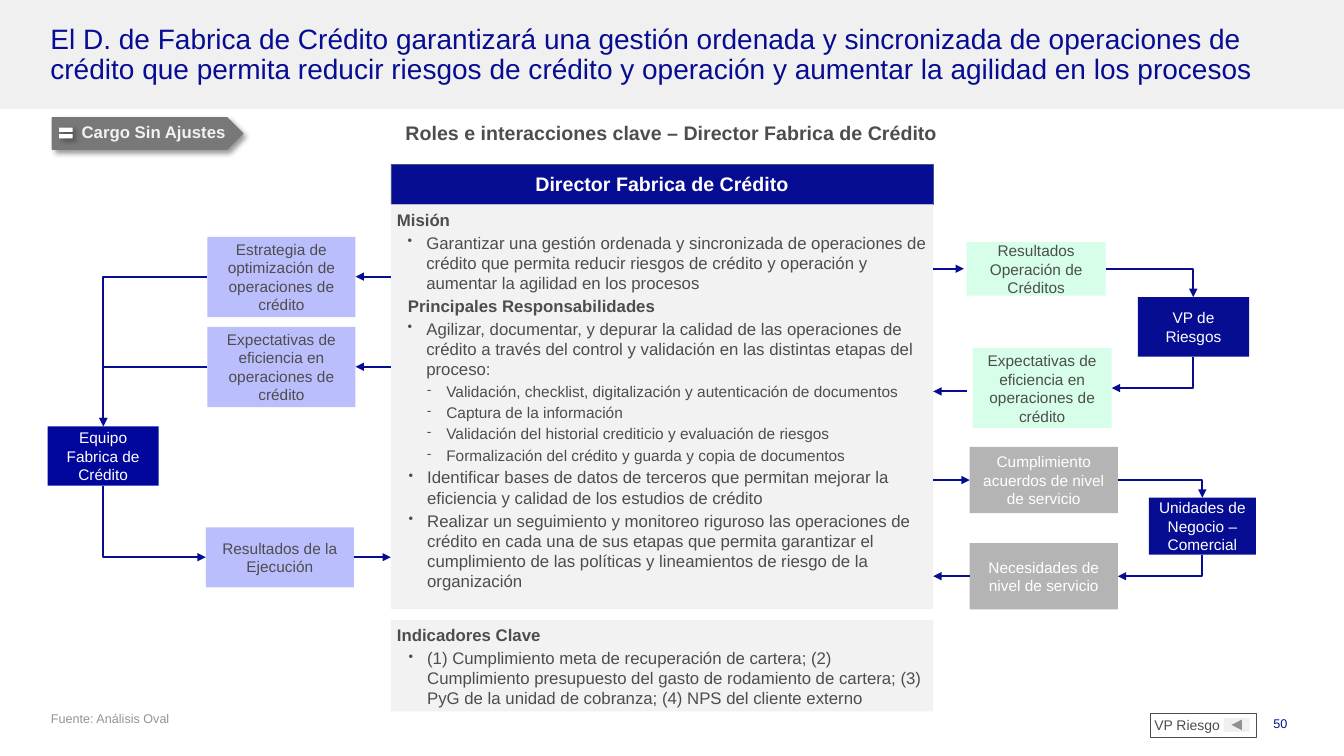
from dataclasses import dataclass

import lxml.etree
import pptx
import pptx.dml.color
import pptx.enum.shapes
import pptx.enum.text
import pptx.oxml.ns
import pptx.util

Pt = pptx.util.Pt
Kind = pptx.enum.shapes.MSO_SHAPE
Align = pptx.enum.text.PP_ALIGN
Anchor = pptx.enum.text.MSO_ANCHOR
qn = pptx.oxml.ns.qn

COLORS = {
    "navy": "070D93", "deep": "00079A", "edge": "42508E", "text": "4D4D4D",
    "white": "FFFFFF", "band": "F0F0F0", "panel": "F2F2F2", "lilac": "BBBEFC",
    "mint": "D6FEE9", "gray": "B4B4B4", "tag": "787878", "source": "949494",
    "black": "000000",
}
NARROW = (4.3, 3.6, 4.3, 3.6)
WIDE = (7.2, 3.6, 7.2, 3.6)
SMALL = (2.9, 3.6, 2.9, 3.6)


@dataclass
class Line:
    text: str
    size: float = 12
    color: str = "text"
    bold: bool = False
    align: Align = Align.LEFT
    margin: float = 0
    indent: float = 0
    bullet: str = ""
    after: float = 0
    spacing: float = 1


@dataclass
class Block:
    left: float
    top: float
    width: float
    height: float
    fill: str = ""
    lines: tuple = ()
    insets: tuple = WIDE
    anchor: Anchor = Anchor.TOP
    edge: str = ""
    edge_width: float = 0.75
    kind: Kind = Kind.RECTANGLE
    shadow: bool = False
    rotation: float = 0


@dataclass
class Arrow:
    start: tuple
    end: tuple
    down_first: bool = False


def rgb(name: str) -> pptx.dml.color.RGBColor:
    return pptx.dml.color.RGBColor.from_string(COLORS[name])


def write(box, lines: tuple, insets: tuple, anchor: Anchor) -> None:
    frame = box.text_frame
    frame.word_wrap = True
    frame.vertical_anchor = anchor
    frame.margin_left, frame.margin_top, frame.margin_right, frame.margin_bottom = map(Pt, insets)
    for index, line in enumerate(lines):
        para = frame.add_paragraph() if index else frame.paragraphs[0]
        props = para._p.get_or_add_pPr()
        props.set("marL", str(Pt(line.margin)))
        props.set("indent", str(Pt(line.indent)))
        if line.bullet:
            tint = lxml.etree.SubElement(props, qn("a:buClr"))
            lxml.etree.SubElement(tint, qn("a:srgbClr"), val=COLORS["text"])
            lxml.etree.SubElement(props, qn("a:buSzPct"), val="80000")
            lxml.etree.SubElement(props, qn("a:buChar"), char=line.bullet)
        para.alignment = line.align
        para.line_spacing = line.spacing
        para.space_after = Pt(line.after)
        span = para.add_run()
        span.text = line.text
        span.font.name = "Arial"
        span.font.size = Pt(line.size)
        span.font.bold = line.bold
        span.font.color.rgb = rgb(line.color)


def add_block(page, block: Block) -> None:
    box = page.shapes.add_shape(
        block.kind, Pt(block.left), Pt(block.top), Pt(block.width), Pt(block.height))
    box.rotation = block.rotation
    box.shadow.inherit = False
    if block.fill:
        box.fill.solid()
        box.fill.fore_color.rgb = rgb(block.fill)
    else:
        box.fill.background()
    if block.edge:
        box.line.color.rgb = rgb(block.edge)
        box.line.width = Pt(block.edge_width)
    else:
        box.line.fill.background()
    if block.shadow:
        effects = box._element.spPr.find(qn("a:effectLst"))
        cast = lxml.etree.SubElement(effects, qn("a:outerShdw"), blurRad=str(Pt(4)),
                                     dist=str(Pt(3)), dir="2700000", algn="tl", rotWithShape="0")
        tint = lxml.etree.SubElement(cast, qn("a:srgbClr"), val=COLORS["black"])
        lxml.etree.SubElement(tint, qn("a:alpha"), val="40000")
    if block.lines:
        write(box, block.lines, block.insets, block.anchor)


def add_label(page, place: tuple, line: Line, insets: tuple) -> None:
    box = page.shapes.add_textbox(*map(Pt, place))
    write(box, (line,), insets, Anchor.TOP)


def add_arrow(page, arrow: Arrow) -> None:
    (x1, y1), (x2, y2) = arrow.start, arrow.end
    bent = x1 != x2 and y1 != y2
    if arrow.down_first:
        # A quarter turn about the centre makes the elbow leave downwards
        mid_x, mid_y, dx, dy = (x1 + x2) / 2, (y1 + y2) / 2, x2 - x1, y2 - y1
        x1, x2 = mid_x - dy / 2, mid_x + dy / 2
        y1, y2 = mid_y + dx / 2, mid_y - dx / 2
    style = pptx.enum.shapes.MSO_CONNECTOR
    link = page.shapes.add_connector(
        style.ELBOW if bent else style.STRAIGHT, Pt(x1), Pt(y1), Pt(x2), Pt(y2))
    props = link._element.spPr
    if bent:
        props.find(qn("a:prstGeom")).set("prst", "bentConnector2")
    if arrow.down_first:
        props.find(qn("a:xfrm")).set("rot", "5400000")
    link.line.color.rgb = rgb("navy")
    link.line.width = Pt(1.5)
    lxml.etree.SubElement(link.line._get_or_add_ln(), qn("a:tailEnd"), type="triangle")
    lxml.etree.SubElement(props, qn("a:effectLst"))


def card(left: float, top: float, width: float, height: float, fill: str, text: str,
         color: str = "text", insets: tuple = NARROW, after: float = 2) -> Block:
    line = Line(text, 11, color, align=Align.CENTER, after=after)
    return Block(left, top, width, height, fill, (line,), insets, Anchor.MIDDLE)


def actor(left: float, top: float, width: float, height: float, fill: str, text: str) -> Block:
    return card(left, top, width, height, fill, text, "white", WIDE, 0)


def heading(text: str, indent: float = 0) -> Line:
    return Line(text, bold=True, indent=indent, after=2)


def point(text: str, margin: float = 21.6, after: float = 2) -> Line:
    return Line(text, margin=margin, indent=-13.3, bullet="•", after=after)


def detail(text: str) -> Line:
    return Line(text, 11, margin=35.3, indent=-13.7, bullet="-", after=2)


MISSION = (
    heading("Misión"),
    point("Garantizar una gestión ordenada y sincronizada de operaciones de crédito que permita reducir riesgos de crédito y operación y aumentar la agilidad en los procesos", 21),
    heading("Principales Responsabilidades", 7.9),
    point("Agilizar, documentar, y depurar la calidad de las operaciones de crédito a través del control y validación en las distintas etapas del proceso:", 21),
    detail("Validación, checklist, digitalización y autenticación de documentos"),
    detail("Captura de la información"),
    detail("Validación del historial crediticio y evaluación de riesgos"),
    detail("Formalización del crédito y guarda y copia de documentos"),
    point("Identificar bases de datos de terceros que permitan mejorar la eficiencia y calidad de los estudios de crédito"),
    point("Realizar un seguimiento y monitoreo riguroso las operaciones de crédito en cada una de sus etapas que permita garantizar el cumplimiento de las políticas y lineamientos de riesgo de la organización"),
)
INDICATORS = (
    heading("Indicadores Clave"),
    point("(1) Cumplimiento meta de recuperación de cartera; (2) Cumplimiento presupuesto del gasto de rodamiento de cartera; (3) PyG de la unidad de cobranza; (4) NPS del cliente externo", after=0),
)
EXPECTATIONS = "Expectativas de eficiencia en operaciones de crédito"

BLOCKS = (
    # Title band and central panel
    Block(0, 0, 960, 77.8, "band"),
    Block(279.2, 117.4, 387.4, 28.3, "navy",
          (Line("Director Fabrica de Crédito", 14, "white", True, Align.CENTER),),
          anchor=Anchor.MIDDLE, edge="edge", edge_width=0.5),
    Block(279.2, 146, 387.4, 289.2, "panel", MISSION, NARROW),
    Block(279.2, 442.8, 387.4, 65.3, "panel", INDICATORS, NARROW),
    # Left side: team
    card(148.2, 169.2, 105.8, 57.4, "lilac", "Estrategia de optimización de operaciones de crédito"),
    card(148.2, 233.5, 105.8, 57.4, "lilac", EXPECTATIONS),
    card(147, 376.6, 105.8, 43, "lilac", "Resultados de la Ejecución"),
    actor(34, 304.5, 79.4, 42.5, "deep", "Equipo Fabrica de Crédito"),
    # Right side: risk and business units
    card(690.5, 173, 99.3, 38.2, "mint", "Resultados Operación de Créditos"),
    card(694.8, 248.5, 99.3, 57.4, "mint", EXPECTATIONS),
    actor(812.8, 212.2, 79.4, 42.5, "navy", "VP de Riesgos"),
    card(692.7, 319.2, 105.8, 47.4, "gray", "Cumplimiento acuerdos de nivel de servicio", "white"),
    card(692.7, 388, 105.8, 47.4, "gray", "Necesidades de nivel de servicio", "white"),
    actor(820.6, 355.5, 76.6, 40.7, "navy", "Unidades de Negocio – Comercial"),
    # Tag and return button
    Block(37.3, 84, 136.2, 22.8, "tag",
          (Line("Cargo Sin Ajustes", 12, "panel", True, Align.CENTER, margin=14.4, spacing=0.9),),
          SMALL, Anchor.MIDDLE, "tag", kind=Kind.PENTAGON, shadow=True),
    Block(40.5, 88.5, 13, 13, "white", kind=Kind.MATH_EQUAL, shadow=True),
    Block(874, 512.7, 18.7, 10.1, "band", kind=Kind.ACTION_BUTTON_FORWARD_OR_NEXT, rotation=180),
    Block(821.6, 509.6, 75.6, 17.4, "", (Line("VP Riesgo", 10, spacing=0.9),), SMALL, edge="text"),
)
ARROWS = (
    # Left side
    Arrow((279.2, 197.6), (254, 197.6)),
    Arrow((279.2, 262), (254, 262)),
    Arrow((252.8, 398), (279.2, 398)),
    Arrow((148.2, 197.6), (73.8, 304.5)),
    Arrow((148.2, 262), (73.8, 304.5)),
    Arrow((73.8, 347), (147, 398), True),
    # Right side
    Arrow((666.6, 192), (688.5, 192)),
    Arrow((690.5, 279.6), (666.6, 279.6)),
    Arrow((666.6, 342.9), (692.7, 342.9)),
    Arrow((692.7, 411.6), (666.6, 411.6)),
    Arrow((789.8, 192), (852.4, 212.2)),
    Arrow((852.4, 254.7), (794.1, 277.2), True),
    Arrow((798.5, 342.9), (858.8, 355.5)),
    Arrow((858.8, 396.2), (798.5, 411.6), True),
)
LABELS = (
    ((33.1, 14.4, 893, 49.7), Line("El D. de Fabrica de Crédito garantizará una gestión ordenada y sincronizada de operaciones de crédito que permita reducir riesgos de crédito y operación y aumentar la agilidad en los procesos", 20, "navy", spacing=0.9), SMALL),
    ((33.1, 85, 893, 22.3), Line("Roles e interacciones clave – Director Fabrica de Crédito", 14, bold=True, align=Align.CENTER, spacing=0.9), WIDE),
    ((33.5, 507.6, 793, 28.8), Line("Fuente: Análisis Oval", 9, "source"), (2.9, 0, 2.9, 2.9)),
    ((846.7, 507.6, 80, 28.8), Line("50", 9, "navy", align=Align.RIGHT), WIDE),
)


def main() -> None:
    deck = pptx.Presentation()
    deck.slide_width, deck.slide_height = Pt(960), Pt(540)
    page = deck.slides.add_slide(deck.slide_layouts[6])
    for block in BLOCKS:
        add_block(page, block)
    for arrow in ARROWS:
        add_arrow(page, arrow)
    for place, line, insets in LABELS:
        add_label(page, place, line, insets)
    deck.save("out.pptx")


if __name__ == "__main__":
    main()
